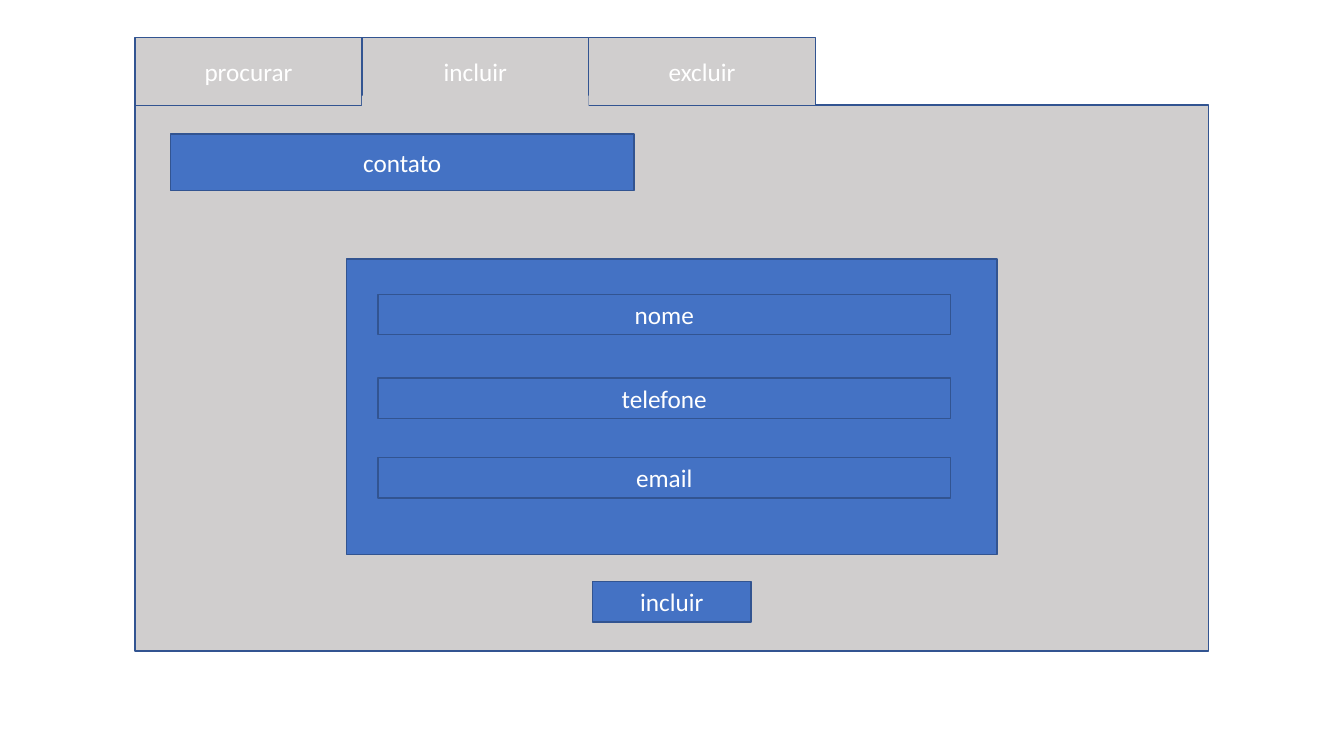
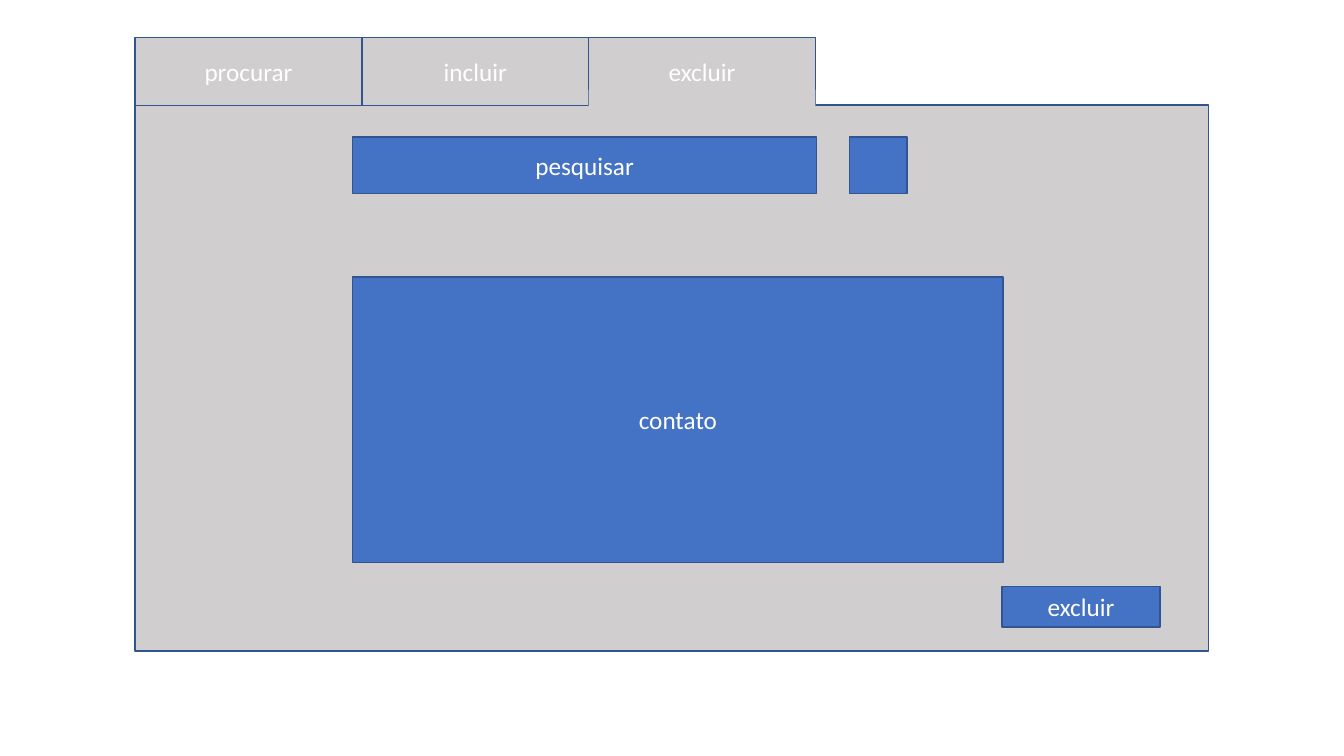
import pptx
import pptx.dml.color
import pptx.enum.shapes
import pptx.enum.text
import pptx.util

Pt = pptx.util.Pt
GREY, BLUE, EDGE, WHITE = "D0CECE", "4472C4", "325491", "FFFFFF"
FONT = "Calibri"
TABS = ["procurar", "incluir", "excluir"]
LEFT, TOP = 96.48, 26.64
TAB_W, TAB_H = 162, 48.96
BAR_W, BAR_H = 331.2, 40.32
CARD_W = 464.4


def color(code):
    """Turn a hex string into a colour."""
    return pptx.dml.color.RGBColor.from_string(code)


def box(slide, x, y, w, h, text="", fill=BLUE, edge=EDGE):
    """Draw a rectangle with an optional centred label."""
    kind = pptx.enum.shapes.MSO_SHAPE.RECTANGLE
    shape = slide.shapes.add_shape(kind, Pt(x), Pt(y), Pt(w), Pt(h))
    shape.shadow.inherit = False
    shape.fill.solid()
    shape.fill.fore_color.rgb = color(fill)
    if edge:
        shape.line.color.rgb = color(edge)
        shape.line.width = Pt(1)
    else:
        shape.line.fill.background()
    if text:
        label(shape.text_frame, text)


def label(frame, text):
    """Write white text in the middle of a frame."""
    frame.text = text
    frame.word_wrap = True
    frame.vertical_anchor = pptx.enum.text.MSO_ANCHOR.MIDDLE
    line = frame.paragraphs[0]
    line.alignment = pptx.enum.text.PP_ALIGN.CENTER
    font = line.runs[0].font
    font.name = FONT
    font.size = Pt(18)
    font.color.rgb = color(WHITE)


def window(deck, active, seam):
    """Add a slide with the panel and tabs, the active tab open below."""
    slide = deck.slides.add_slide(deck.slide_layouts[6])
    box(slide, LEFT, 74.88, 766.8, 390.24, fill=GREY)
    for name in sorted(TABS, key=lambda tab: tab == active):
        x = LEFT + TAB_W * TABS.index(name)
        box(slide, x, TOP, TAB_W, TAB_H, name, GREY)
    x = LEFT + TAB_W * TABS.index(active)
    box(slide, x, seam, TAB_W, 21.6, fill=GREY, edge=None)
    return slide


def button(slide, x, y, text):
    """Draw an action button."""
    box(slide, x, y, 113.04, 28.8, text)


def include(deck):
    """Build the form for a new contact."""
    slide = window(deck, "incluir", 68.4)
    box(slide, 121.68, 95.76, BAR_W, BAR_H, "contato")
    box(slide, 247.68, 185.04, CARD_W, 210.96)
    fields = {"nome": 210.24, "telefone": 270, "email": 326.88}
    for name, y in fields.items():
        box(slide, 270, y, 408.96, 28.8, name)
    button(slide, 423.36, 415.44, "incluir")


def remove(deck):
    """Build the search and removal of a contact."""
    slide = window(deck, "excluir", 64.08)
    box(slide, 252, 97.92, BAR_W, BAR_H, "pesquisar")
    box(slide, 606.96, 97.92, 41.04, BAR_H)
    box(slide, 252, 198, CARD_W, 203.76, "contato")
    button(slide, 715.68, 419.04, "excluir")


def main():
    """Build and save the deck."""
    deck = pptx.Presentation()
    deck.slide_width, deck.slide_height = Pt(960), Pt(540)
    include(deck)
    remove(deck)
    deck.save("out.pptx")


main()
